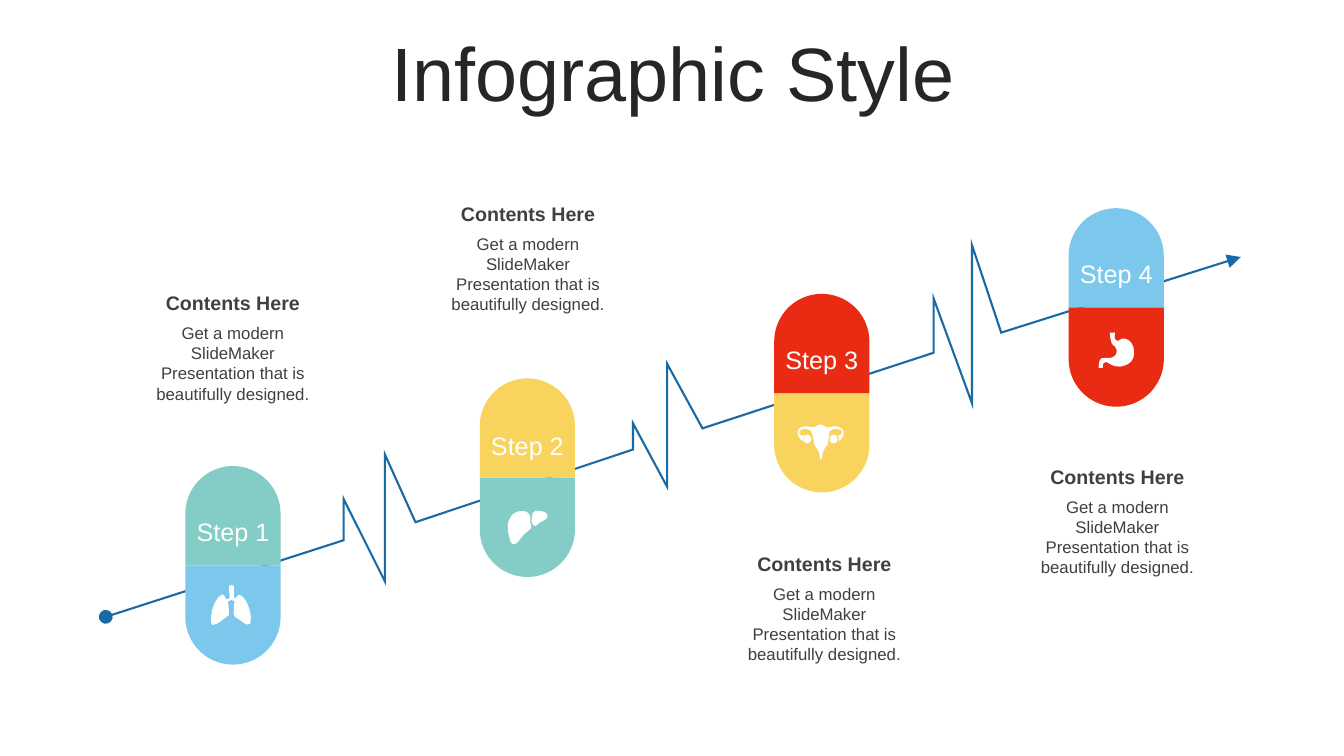
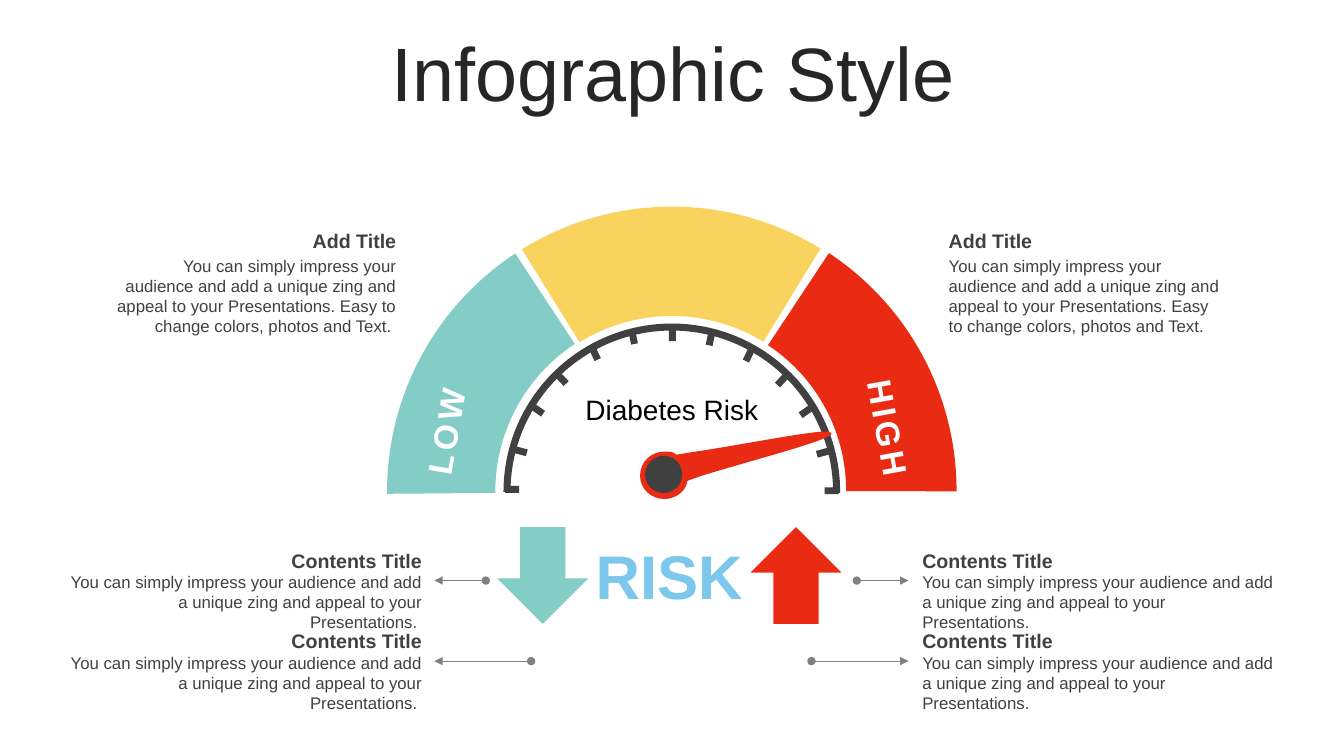
from lxml.etree import SubElement
from pptx import Presentation
from pptx.dml.color import RGBColor
from pptx.enum.shapes import MSO_CONNECTOR, MSO_SHAPE as SHAPE
from pptx.enum.text import MSO_ANCHOR as ANCHOR, PP_ALIGN as ALIGN
from pptx.oxml.ns import qn
from pptx.util import Pt

FONT = "Arial"
RED, TEAL, YELLOW, SKY = "EA2B13", "84CCC6", "F8D45E", "7CC8EC"
BLUE, GRAY, DARK, INK = "1A6BA5", "808080", "404040", "262626"
WHITE, BLACK = "FFFFFF", "000000"
TITLE = "Infographic Style"

# Outlines: M starts a contour, L is a line, C is a cubic curve; one unit is 0.72 pt.
UNIT = 0.72
LUNGS = (
    "M17,1 C17,-1 22,-1 22,1 L22,11 L24,13 C25,11 26,8 28,9 C36,13 41,31 38,38 "
    "C35,41 29,34 23,31 C21,29 22,27 22,25 C23,23 21,21 23,16 C22,15 21,15 20,14 "
    "C18,14 17,15 16,16 C17,19 17,23 17,24 C17,26 18,30 16,30 C13,32 6,39 1,39 "
    "C-3,38 0,14 10,9 C13,8 13,12 15,14 L18,12 C18,9 17,4 17,1")
LIVER = (
    "M31,0 C35,0 39,2 39,4 C40,7 36,10 32,11 C30,12 28,17 25,14 C23,12 23,8 24,5 "
    "C24,3 24,1 27,0 C28,0 30,0 31,0 "
    "M14,0 C17,0 20,1 21,3 C23,5 22,8 22,11 C22,13 24,15 23,17 C21,20 18,21 16,23 "
    "C13,26 9,34 5,33 C2,32 2,28 1,25 C-1,18 -1,9 4,4 C7,1 11,0 14,0")
UTERUS = (
    "M36,10 C39,10 40,12 40,15 C40,17 39,19 36,19 C34,19 32,17 32,15 C32,12 34,10 36,10 "
    "M10,10 C12,10 14,12 14,15 C14,17 12,19 10,19 C8,19 6,17 6,15 C6,12 8,10 10,10 "
    "M23,0 C28,1 28,4 31,3 C37,1 42,2 45,5 C47,7 47,12 41,17 C42,15 42,13 40,11 "
    "C44,12 45,8 44,6 C40,3 33,5 32,7 C31,12 31,17 30,20 C27,24 25,27 25,30 "
    "C24,31 25,35 23,35 C22,35 22,31 22,30 C22,27 19,24 17,20 C16,17 16,12 14,7 "
    "C13,5 6,3 3,6 C1,8 2,12 7,11 C5,13 5,15 6,17 C-1,12 0,7 1,5 C4,2 9,1 15,3 "
    "C18,4 18,1 23,0")
STOMACH = (
    "M11,0 L16,0 C16,3 15,7 18,8 C21,9 21,5 26,6 C31,7 35,11 35,20 C35,28 31,31 25,33 "
    "C15,36 9,29 7,29 C4,29 4,32 4,35 L0,35 C0,31 0,24 6,25 C10,25 14,26 17,22 "
    "C19,18 18,15 13,11 C13,10 11,6 11,0")
NEEDLE = (
    "M185,0 C166,0 102,13 55,20 L36,23 L33,21 C31,20 27,20 24,20 C11,20 0,30 0,44 "
    "C0,57 11,67 24,67 C34,67 43,61 46,53 L47,49 L61,44 C113,28 191,8 190,2 "
    "C189,1 188,0 185,0")

# Capsule top, label top, top colour, bottom colour, icon, icon corner, caption corner
STEPS = [
    (332.9, 369, TEAL, SKY, LUNGS, (151.2, 418.3), (102.4, 204.5)),
    (270.3, 307.6, YELLOW, TEAL, LIVER, (362.9, 365), (313.2, 140.8)),
    (209.9, 245.8, RED, YELLOW, UTERUS, (569.5, 303.1), (524.9, 390.6)),
    (148.7, 184.3, SKY, RED, STOMACH, (784.8, 237.6), (734.2, 328.6)),
]
STEP_HEADING = "Contents Here"
STEP_BODY = "Get a modern SlideMaker Presentation that is beautifully designed."
PULSE = [
    (75.6, 440.6), (245.5, 385.9), (245.5, 356.4), (275, 415.4), (275, 324.7),
    (296.8, 373), (452.2, 321.1), (452.2, 302.4), (476.6, 347.8), (476.6, 259.9),
    (501.8, 306), (666.9, 252), (666.9, 213.1), (694.3, 288), (694.3, 175),
    (715.2, 237.6), (886.3, 183.6),
]

# Top, size, start angle, end angle, thickness, colour
ARCS = [
    (147, 406.8, 303.49, 0.16, 78.9, RED),
    (147.6, 406.8, 179.51, 236.64, 77.3, TEAL),
    (147.6, 406.8, 238.25, 301.48, 78.1, YELLOW),
    (231.1, 240.5, 180, 0.38, 5.05, DARK),
]
GAUGE_X = 479.9
# Centre and turn of the top tick and of the left ticks; the right ones mirror them.
TOP_TICK = (480.2, 238.7, 90)
LEFT_TICKS = [
    (365.8, 349.6, 0), (371.5, 322.2, 15), (383.8, 292.7, 34.9),
    (401, 270.4, 46.9), (424.8, 252.4, 64.9), (452.2, 240.8, 78.3),
]
MIRROR_DROP = 1
PITCH_TEXT = "You can simply impress your audience and add a unique zing and appeal to your Presentations."
COLOR_TEXT = PITCH_TEXT + " Easy to change colors, photos and Text."
# Alignment, text end, x of wide caption, x and width of narrow one, arrow tip, arrow starts
SIDES = [
    (ALIGN.RIGHT, " ", 41.8, (74.9, 215.3), 310.3, (347, 379.4)),
    (ALIGN.LEFT, "", 651.7, (670.5, 213.6), 648.9, (612, 579.6)),
]
ROWS = (388.5, 446)


def rgb(color):
    return RGBColor.from_string(color)


def paint(sp, color):
    sp.shadow.inherit = False
    sp.fill.solid()
    sp.fill.fore_color.rgb = rgb(color)
    sp.line.fill.background()
    return sp


def add_solid(s, kind, x, y, w, h, color, adjustments=()):
    sp = paint(s.shapes.add_shape(kind, Pt(x), Pt(y), Pt(w), Pt(h)), color)
    for i, value in enumerate(adjustments):
        sp.adjustments[i] = value
    return sp


def add_text(s, x, y, w, h, text, size, color=DARK, align=ALIGN.CENTER, bold=False,
             inset=7.2, rotation=0, spacing=0, anchor=ANCHOR.TOP):
    sp = s.shapes.add_textbox(Pt(x), Pt(y), Pt(w), Pt(h))
    sp.rotation = rotation
    tf = sp.text_frame
    tf.word_wrap = True
    tf.vertical_anchor = anchor
    tf.margin_left = tf.margin_right = Pt(inset)
    tf.margin_top = tf.margin_bottom = Pt(inset / 2)
    p = tf.paragraphs[0]
    p.alignment = align
    r = p.add_run()
    r.text = text
    r.font.name, r.font.size, r.font.bold = FONT, Pt(size), bold
    r.font.color.rgb = rgb(color)
    if spacing:
        r._r.get_or_add_rPr().set("spc", str(spacing * 100))
    return p


def add_caption(s, x, y, w, gap, heading, body, align):
    """Place a bold heading with its body text starting gap points lower."""
    add_text(s, x, y + gap, w, 65.5, body, 12, align=align)
    add_text(s, x, y, w, 24.5, heading, 14, align=align, bold=True)


def style_arrow(sp, color, width, head="med"):
    """Colour a line that runs from a dot to an arrowhead."""
    sp.line.color.rgb = rgb(color)
    sp.line.width = Pt(width)
    ln = sp.line._get_or_add_ln()
    SubElement(ln, qn("a:miter"), lim="800000")
    for end, kind in (("a:headEnd", "oval"), ("a:tailEnd", "triangle")):
        SubElement(ln, qn(end), type=kind, w=head, len=head)


def add_outline(s, x, y, outline, color):
    """Draw the outline point by point, then join each curve's three points."""
    builder, sizes = None, []
    for contour in outline.split("M")[1:]:
        segments = [[tuple(Pt(o + float(n) * UNIT) for o, n in zip((x, y), pair.split(",")))
                     for pair in segment.split()]
                    for segment in contour.replace("L", "|").replace("C", "|").split("|")]
        start = segments[0][0]
        if builder is None:
            builder = s.shapes.build_freeform(*start)
        else:
            builder.move_to(*start)
        builder.add_line_segments([pt for seg in segments[1:] for pt in seg], close=True)
        sizes += [len(seg) for seg in segments[1:]]
    sp = paint(builder.convert_to_shape(), color)

    lines = iter(list(sp._element.iter(qn("a:lnTo"))))
    for size in sizes:
        first, *rest = [next(lines) for _ in range(size)]
        if rest:
            first.tag = qn("a:cubicBezTo")
        for line in rest:
            first.append(line[0])
            line.getparent().remove(line)


def add_slide(prs):
    s = prs.slides.add_slide(prs.slide_layouts[6])
    p = add_text(s, 25.2, 26.6, 911.5, 56.9, TITLE, 54, INK, anchor=ANCHOR.MIDDLE)
    p.line_spacing = 0.9
    p.runs[0]._r.get_or_add_rPr().set("kern", "1200")
    return s


def build_steps(prs):
    s = add_slide(prs)
    points = [(Pt(x), Pt(y)) for x, y in PULSE]
    builder = s.shapes.build_freeform(*points[0])
    builder.add_line_segments(points[1:], close=False)
    pulse = builder.convert_to_shape()
    pulse.shadow.inherit = False
    pulse.fill.background()
    style_arrow(pulse, BLUE, 1.5, "lg")

    w, half = 68, 70.9
    for i, (y, label_y, upper, lower, icon, icon_at, caption_at) in enumerate(STEPS):
        x = 132.4 + i * 210.3
        add_solid(s, SHAPE.ROUND_2_SAME_RECTANGLE, x, y + half, w, half, lower, (0, 0.5))
        add_solid(s, SHAPE.ROUND_2_SAME_RECTANGLE, x, y, w, half, upper, (0.5, 0))
        add_text(s, x, label_y, w, 21.6, f"Step {i + 1}", 18, WHITE, inset=0)
        add_outline(s, *icon_at, icon, WHITE)
        add_caption(s, *caption_at, 128, 22.5, STEP_HEADING, STEP_BODY, ALIGN.CENTER)


def build_gauge(prs):
    s = add_slide(prs)
    for y, size, start, end, thickness, color in ARCS:
        add_solid(s, SHAPE.BLOCK_ARC, GAUGE_X - size / 2, y, size, size, color,
                  (start * 0.6, end * 0.6, thickness / size))
    tick_w, tick_h = 10, 5
    right_ticks = [(2 * GAUGE_X - x, y + MIRROR_DROP, -turn) for x, y, turn in LEFT_TICKS]
    for x, y, turn in [*LEFT_TICKS, TOP_TICK, *right_ticks]:
        tick = add_solid(s, SHAPE.RECTANGLE, x - tick_w / 2, y - tick_h / 2,
                         tick_w, tick_h, DARK)
        tick.rotation = turn

    add_text(s, 275.8, 285.1, 86.4, 36, "LOW", 24, WHITE, ALIGN.LEFT, True,
             rotation=279.9, spacing=3)
    add_text(s, 589, 283.9, 90, 36, "HIGH", 24, WHITE, ALIGN.RIGHT, True,
             rotation=79.9, spacing=3)
    add_text(s, 403.2, 276.7, 153.4, 31.7, "Diabetes Risk", 20, BLACK)
    add_outline(s, 457.2, 308.2, NEEDLE, RED)
    add_solid(s, SHAPE.OVAL, 460.8, 325.6, 26.6, 26.6, DARK)

    add_solid(s, SHAPE.DOWN_ARROW, 355.3, 376.6, 64.8, 69, TEAL)
    add_solid(s, SHAPE.UP_ARROW, 536.2, 376.6, 64.8, 69, RED)
    add_text(s, 415, 380.9, 126, 60.5, "RISK", 44, SKY, bold=True)

    for align, end, wide_x, (narrow_x, narrow_w), tip, starts in SIDES:
        add_caption(s, narrow_x, 159.9, narrow_w, 18.9, "Add Title", COLOR_TEXT + end, align)
        for y, start in zip(ROWS, starts):
            add_caption(s, wide_x, y, 266.8, 16.4, "Contents Title", PITCH_TEXT + end, align)
            line_y = Pt(y + 26.2)
            arrow = s.shapes.add_connector(MSO_CONNECTOR.STRAIGHT, Pt(start), line_y,
                                           Pt(tip), line_y)
            style_arrow(arrow, GRAY, 0.5)
            SubElement(arrow._element.spPr, qn("a:effectLst"))


def main():
    prs = Presentation()
    prs.slide_width, prs.slide_height = Pt(960), Pt(540)
    build_steps(prs)
    build_gauge(prs)
    prs.save("out.pptx")


if __name__ == "__main__":
    main()
